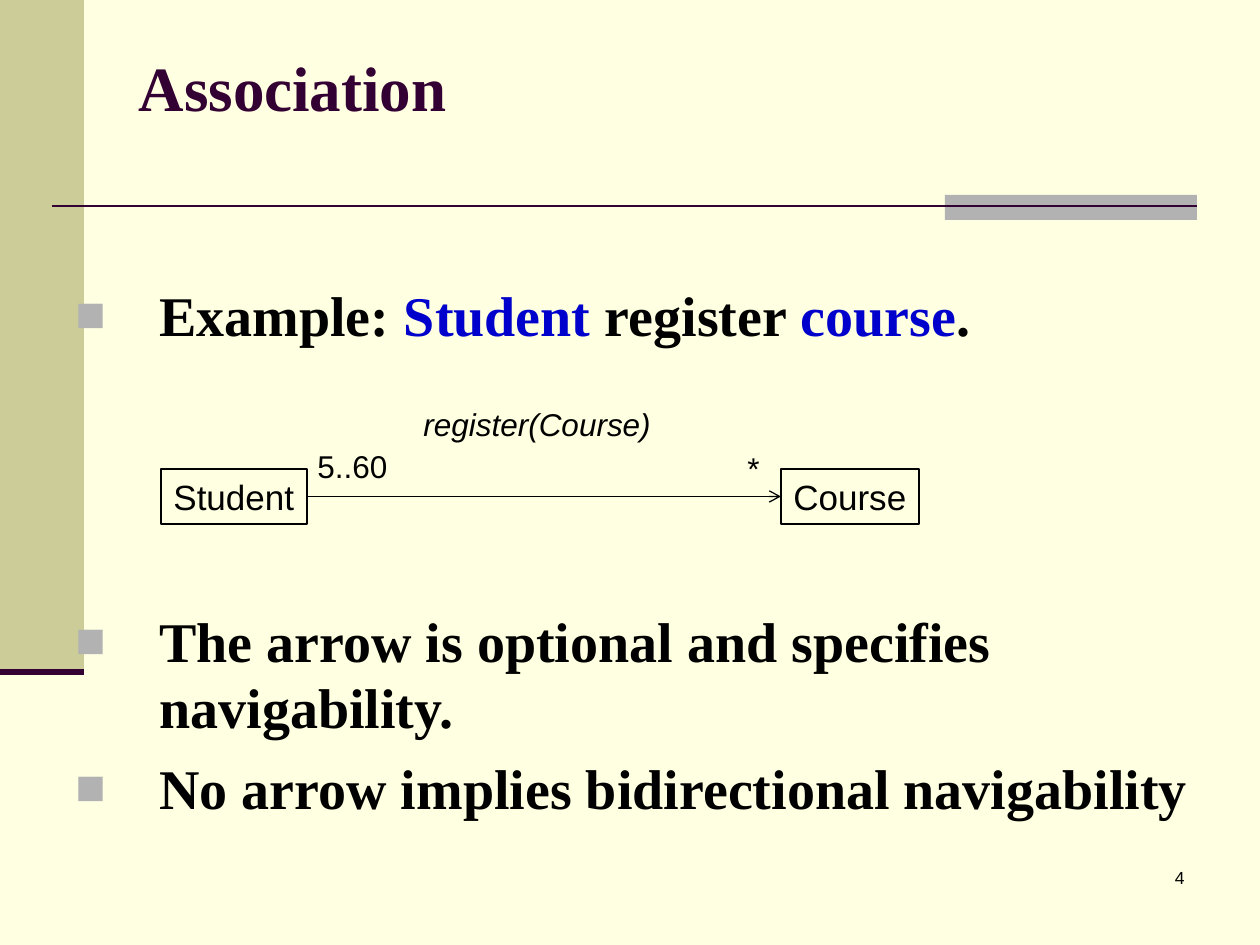
"""Build the Association slide with its Student and Course diagram."""
import pptx
import pptx.util
import pptx.dml.color
import pptx.enum.shapes
import pptx.enum.text
import pptx.oxml
import pptx.oxml.ns

RGBColor = pptx.dml.color.RGBColor
CREAM = RGBColor(0xFF, 0xFF, 0xE1)
KHAKI = RGBColor(0xCC, 0xCC, 0x99)
GREY = RGBColor(0xB2, 0xB2, 0xB2)
PLUM = RGBColor(0x33, 0x00, 0x33)
BLUE = RGBColor(0x00, 0x00, 0xCC)
BLACK = RGBColor(0, 0, 0)

SHAPE = pptx.enum.shapes.MSO_SHAPE
STRAIGHT = pptx.enum.shapes.MSO_CONNECTOR.STRAIGHT
ALIGN = pptx.enum.text.PP_ALIGN
ANCHOR = pptx.enum.text.MSO_ANCHOR
AUTO_SIZE = pptx.enum.text.MSO_AUTO_SIZE
NS = pptx.oxml.ns.nsdecls("a")


def px(*values):
    return [pptx.util.Emu(round(v * 914400 / 126)) for v in values]


def add_text(p, text, size=18, font="Arial", color=BLACK, bold=False, italic=False, align=ALIGN.LEFT):
    p.alignment = align
    r = p.add_run()
    r.text = text
    r.font.size = pptx.util.Pt(size)
    r.font.name = font
    r.font.color.rgb = color
    r.font.bold = bold
    r.font.italic = italic


prs = pptx.Presentation()
prs.slide_width, prs.slide_height = px(1260, 945)
s = prs.slides.add_slide(prs.slide_layouts[5])
s.background.fill.solid()
s.background.fill.fore_color.rgb = CREAM

for box, color in [((0, 0, 84, 672), KHAKI), ((945, 195, 252, 25), GREY)]:
    sp = s.shapes.add_shape(SHAPE.RECTANGLE, *px(*box))
    sp.shadow.inherit = False
    sp.fill.solid()
    sp.fill.fore_color.rgb = color
    sp.line.fill.background()

classes = []
for name, left, width in [("Student", 161, 146), ("Course", 781, 138)]:
    sp = s.shapes.add_shape(SHAPE.RECTANGLE, *px(left, 469, width, 55))
    sp.shadow.inherit = False
    sp.fill.background()
    sp.line.color.rgb = BLACK
    sp.line.width = pptx.util.Pt(0.75)
    sp.text_frame.word_wrap = False
    add_text(sp.text_frame.paragraphs[0], name, size=20)
    classes.append(sp)

lines = []
for ends, color, width in [
    ((52, 206, 1197, 206), PLUM, 1.5),
    ((0, 672, 84, 672), PLUM, 3.5),
    ((307, 496, 781, 496), BLACK, 0.75),
]:
    line = s.shapes.add_connector(STRAIGHT, *px(*ends))
    line.line.color.rgb = color
    line.line.width = pptx.util.Pt(width)
    line._element.spPr.append(pptx.oxml.parse_xml(f"<a:effectLst {NS}/>"))
    lines.append(line)

arrow = lines[-1]
arrow.begin_connect(classes[0], 3)
arrow.end_connect(classes[1], 1)
arrow.line._get_or_add_ln().append(pptx.oxml.parse_xml(f'<a:tailEnd {NS} type="arrow"/>'))

for text, box, style in [
    ("register(Course)", (411, 399, 252, 50), {"italic": True}),
    ("5..60", (305, 441, 94, 50), {}),
    ("*", (735, 443, 37, 50), {}),
    ("4", (935, 861, 262, 63), {"size": 10, "align": ALIGN.RIGHT}),
]:
    tf = s.shapes.add_textbox(*px(*box)).text_frame
    tf.word_wrap = text == "4"
    tf.auto_size = AUTO_SIZE.NONE
    add_text(tf.paragraphs[0], text, **style)

title = s.shapes.title
title.left, title.top, title.width, title.height = px(126, 38, 1071, 96)
tf = title.text_frame
tf.vertical_anchor = ANCHOR.MIDDLE
add_text(tf.paragraphs[0], "Association", size=36, font="Times New Roman", color=PLUM, bold=True)

tf = s.shapes.add_textbox(*px(63, 275, 1166, 575)).text_frame
tf.word_wrap = True
indent = px(84)[0]
for i, (before, runs) in enumerate([
    (0, [("Example: ", BLACK), ("Student", BLUE), (" register ", BLACK), ("course", BLUE), (".", BLACK)]),
    (148, [("The arrow is optional and specifies navigability.", BLACK)]),
    (8, [("No arrow implies bidirectional navigability", BLACK)]),
]):
    p = tf.add_paragraph() if i else tf.paragraphs[0]
    p.space_before = pptx.util.Pt(before)
    p.line_spacing = pptx.util.Pt(38)
    pPr = p._p.get_or_add_pPr()
    pPr.set("marL", str(indent))
    pPr.set("indent", str(-indent))
    for bullet in [
        f'<a:buClr {NS}><a:srgbClr val="{GREY}"/></a:buClr>',
        f'<a:buSzPct {NS} val="90000"/>',
        f'<a:buFont {NS} typeface="Arial"/>',
        f'<a:buChar {NS} char="■"/>',
    ]:
        pPr.append(pptx.oxml.parse_xml(bullet))
    for text, color in runs:
        add_text(p, text, size=32, font="Times New Roman", color=color, bold=True)

prs.save("out.pptx")
